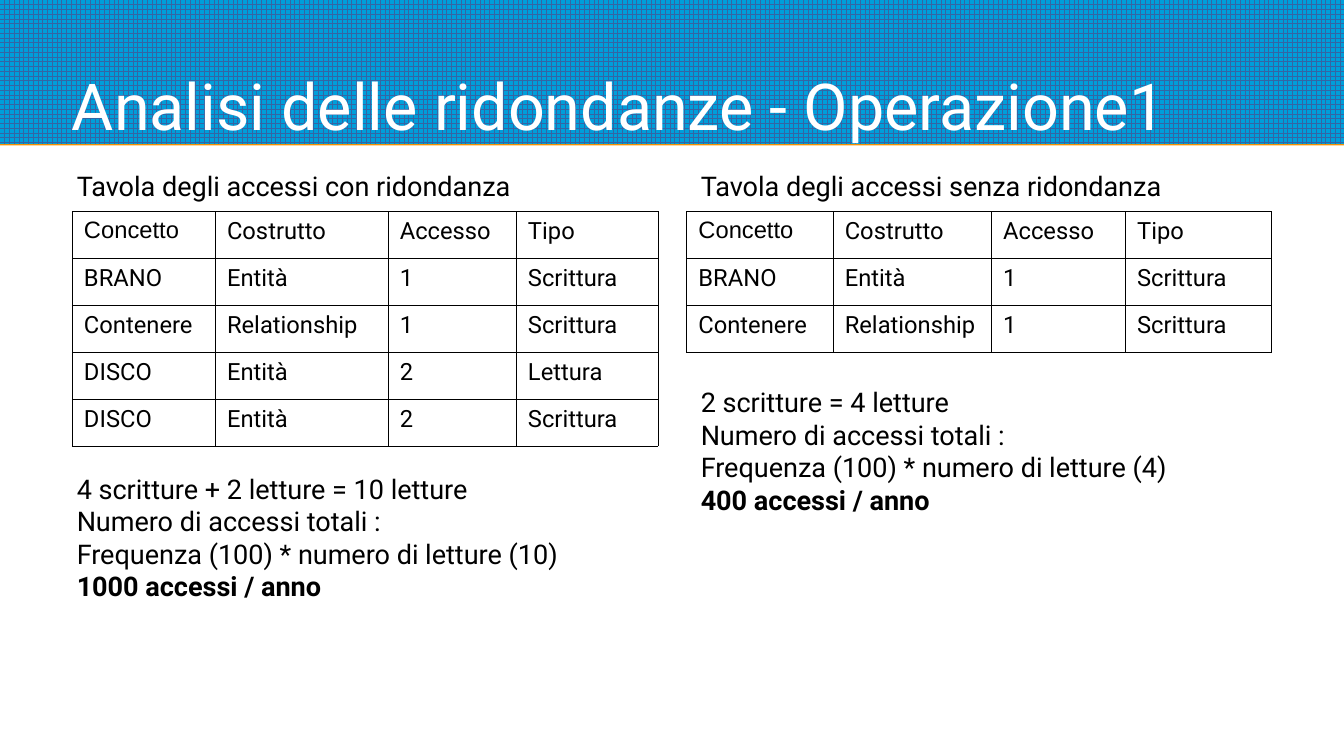
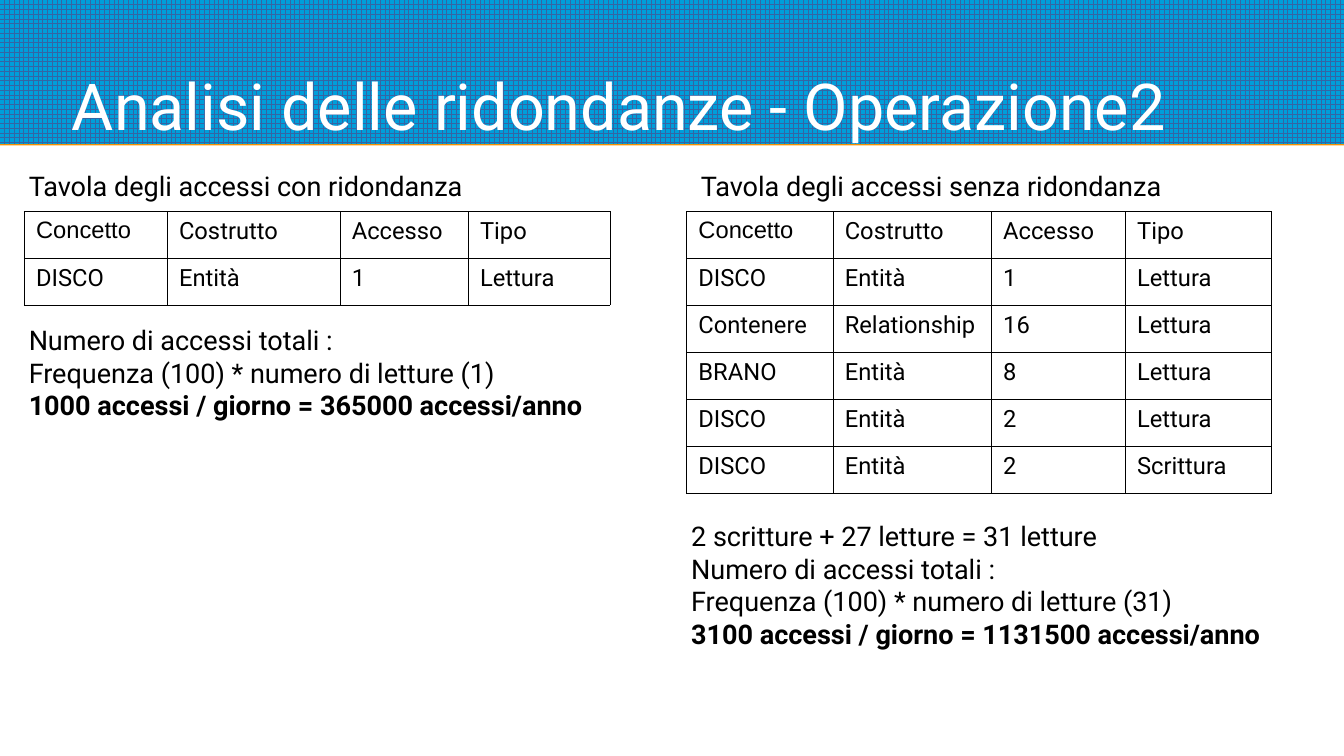
from lxml import etree
from pptx import Presentation
from pptx import util as u
from pptx.dml import color
from pptx.enum import dml, shapes, text
from pptx.oxml import ns

# Shared look
SLIDE_WIDTH, SLIDE_HEIGHT = u.Cm(28), u.Cm(15.75)
FONT, FIRST_HEADER_FONT = "Roboto", "Arial"
BLACK, WHITE = "000000", "FFFFFF"
BAND_BLUE, GRID_BLUE, EDGE_ORANGE = "009EDA", "3465A4", "F49100"
TITLE_SIZE, BODY_SIZE, CELL_SIZE = 38.2, 16, 14
LEFT_MARGIN = 1.5
BAND_HEIGHT, CAPTION_TOP, TABLE_TOP = 3, 3.38, 4.4
CAPTION_HEIGHT, ROW_HEIGHT = 0.96, 0.98

# Table layout
HEADERS = ("Concetto", "Costrutto", "Accesso", "Tipo")
LEFT_COLUMNS = (2.98, 3.6, 2.67, 2.95)
RIGHT_COLUMNS = (3.05, 3.3, 2.79, 3.05)
RIGHT_TABLE, RIGHT_TEXT = 14.3, 14.5
WITH_REDUNDANCY = "Tavola degli accessi con ridondanza"
WITHOUT_REDUNDANCY = "Tavola degli accessi senza ridondanza"
TOTAL = "Numero di accessi totali :"


def rgb(value):
    return color.RGBColor.from_string(value)


def add_span(para, words, size, tint=BLACK, font=FONT, bold=False):
    span = para.add_run()
    span.text = words
    span.font.size = u.Pt(size)
    span.font.name = font
    span.font.bold = bold
    span.font.color.rgb = rgb(tint)


def add_box(page, left, top, width, height, inset, anchor):
    box = page.shapes.add_textbox(u.Cm(left), u.Cm(top), u.Cm(width), u.Cm(height))
    frame = box.text_frame
    frame.word_wrap = True
    frame.vertical_anchor = anchor
    frame.margin_left = frame.margin_right = u.Cm(inset)
    frame.margin_top = frame.margin_bottom = u.Cm(inset)
    return frame


def add_band(page):
    band = page.shapes.add_shape(
        shapes.MSO_SHAPE.RECTANGLE, 0, 0, SLIDE_WIDTH, u.Cm(BAND_HEIGHT))
    band.fill.patterned()
    band.fill.pattern = dml.MSO_PATTERN.LARGE_GRID
    band.fill.fore_color.rgb = rgb(GRID_BLUE)
    band.fill.back_color.rgb = rgb(BAND_BLUE)
    band.line.fill.background()
    # Orange edge: a hard shadow that falls straight down
    band.shadow.inherit = False
    effects = band.element.spPr.find(ns.qn("a:effectLst"))
    shadow = etree.SubElement(effects, ns.qn("a:outerShdw"), blurRad="0",
                              dist=str(u.Pt(0.9)), dir="5400000",
                              algn="ctr", rotWithShape="0")
    etree.SubElement(shadow, ns.qn("a:srgbClr"), val=EDGE_ORANGE)


def add_page(deck, title):
    page = deck.slides.add_slide(deck.slide_layouts[6])
    add_band(page)
    frame = add_box(page, LEFT_MARGIN, 0.25, 25, BAND_HEIGHT - 0.25, 0,
                    text.MSO_ANCHOR.BOTTOM)
    add_span(frame.paragraphs[0], title, TITLE_SIZE, WHITE)
    return page


def add_lines(page, lines, left, top, width, height, bold_last=False):
    frame = add_box(page, left, top, width, height, 0.1, text.MSO_ANCHOR.MIDDLE)
    for index, line in enumerate(lines):
        para = frame.add_paragraph() if index else frame.paragraphs[0]
        is_last = index == len(lines) - 1
        add_span(para, line, BODY_SIZE, bold=bold_last and is_last)


def add_caption(page, words, left):
    add_lines(page, [words], left, CAPTION_TOP, 12, CAPTION_HEIGHT)


def add_summary(page, lines, left, top, width, height):
    add_lines(page, lines, left, top, width, height, bold_last=True)


def style_cell(cell):
    properties = cell._tc.get_or_add_tcPr()
    for side in ("lnL", "lnR", "lnT", "lnB"):
        border = etree.SubElement(properties, ns.qn("a:" + side), w=str(u.Pt(0.06)))
        fill = etree.SubElement(border, ns.qn("a:solidFill"))
        etree.SubElement(fill, ns.qn("a:srgbClr"), val=BLACK)
    cell.fill.solid()
    cell.fill.fore_color.rgb = rgb(WHITE)
    cell.margin_left = cell.margin_right = u.Cm(0.25)
    cell.margin_top = cell.margin_bottom = u.Cm(0.13)


def add_access_table(page, left, widths, accesses):
    rows = [HEADERS, *accesses]
    frame = page.shapes.add_table(
        len(rows), len(widths), u.Cm(left), u.Cm(TABLE_TOP),
        u.Cm(sum(widths)), u.Cm(ROW_HEIGHT * len(rows)))
    table = frame.table
    table.first_row = table.horz_banding = False
    for column, width in zip(table.columns, widths):
        column.width = u.Cm(width)
    for row_index, row in enumerate(rows):
        table.rows[row_index].height = u.Cm(ROW_HEIGHT)
        for column_index, words in enumerate(row):
            cell = table.cell(row_index, column_index)
            style_cell(cell)
            is_first = row_index == column_index == 0
            add_span(cell.text_frame.paragraphs[0], words, CELL_SIZE,
                     font=FIRST_HEADER_FONT if is_first else FONT)


def build_operation_one(deck):
    page = add_page(deck, "Analisi delle ridondanze - Operazione1")
    shared = [("BRANO", "Entità", "1", "Scrittura"),
              ("Contenere", "Relationship", "1", "Scrittura")]
    # With redundancy
    add_caption(page, WITH_REDUNDANCY, LEFT_MARGIN)
    add_access_table(page, LEFT_MARGIN, LEFT_COLUMNS, shared + [
        ("DISCO", "Entità", "2", "Lettura"),
        ("DISCO", "Entità", "2", "Scrittura")])
    add_summary(page, ["4 scritture + 2 letture = 10 letture", TOTAL,
                       "Frequenza (100) * numero di letture (10)",
                       "1000 accessi / anno"], LEFT_MARGIN, 9.5, 12, 3.38)
    # Without redundancy
    add_caption(page, WITHOUT_REDUNDANCY, RIGHT_TEXT)
    add_access_table(page, RIGHT_TABLE, RIGHT_COLUMNS, shared)
    add_summary(page, ["2 scritture = 4 letture", TOTAL,
                       "Frequenza (100) * numero di letture (4)",
                       "400 accessi / anno"], RIGHT_TEXT, 7.75, 12, 3.28)


def build_operation_two(deck):
    page = add_page(deck, "Analisi delle ridondanze - Operazione2")
    left = 0.5
    first_read = ("DISCO", "Entità", "1", "Lettura")
    # With redundancy
    add_caption(page, WITH_REDUNDANCY, left)
    add_access_table(page, left, LEFT_COLUMNS, [first_read])
    add_summary(page, [TOTAL, "Frequenza (100) * numero di letture (1)",
                       "1000 accessi / giorno = 365000 accessi/anno"],
                left, 6.12, 12.5, 3.28)
    # Without redundancy
    add_caption(page, WITHOUT_REDUNDANCY, RIGHT_TEXT)
    add_access_table(page, RIGHT_TABLE, RIGHT_COLUMNS, [
        first_read,
        ("Contenere", "Relationship", "16", "Lettura"),
        ("BRANO", "Entità", "8", "Lettura"),
        ("DISCO", "Entità", "2", "Lettura"),
        ("DISCO", "Entità", "2", "Scrittura")])
    add_summary(page, ["2 scritture + 27 letture = 31 letture", TOTAL,
                       "Frequenza (100) * numero di letture (31)",
                       "3100 accessi / giorno = 1131500 accessi/anno"],
                RIGHT_TABLE, 10.5, 13, 3.37)


def main():
    deck = Presentation()
    deck.slide_width, deck.slide_height = SLIDE_WIDTH, SLIDE_HEIGHT
    build_operation_one(deck)
    build_operation_two(deck)
    deck.save("out.pptx")


if __name__ == "__main__":
    main()
